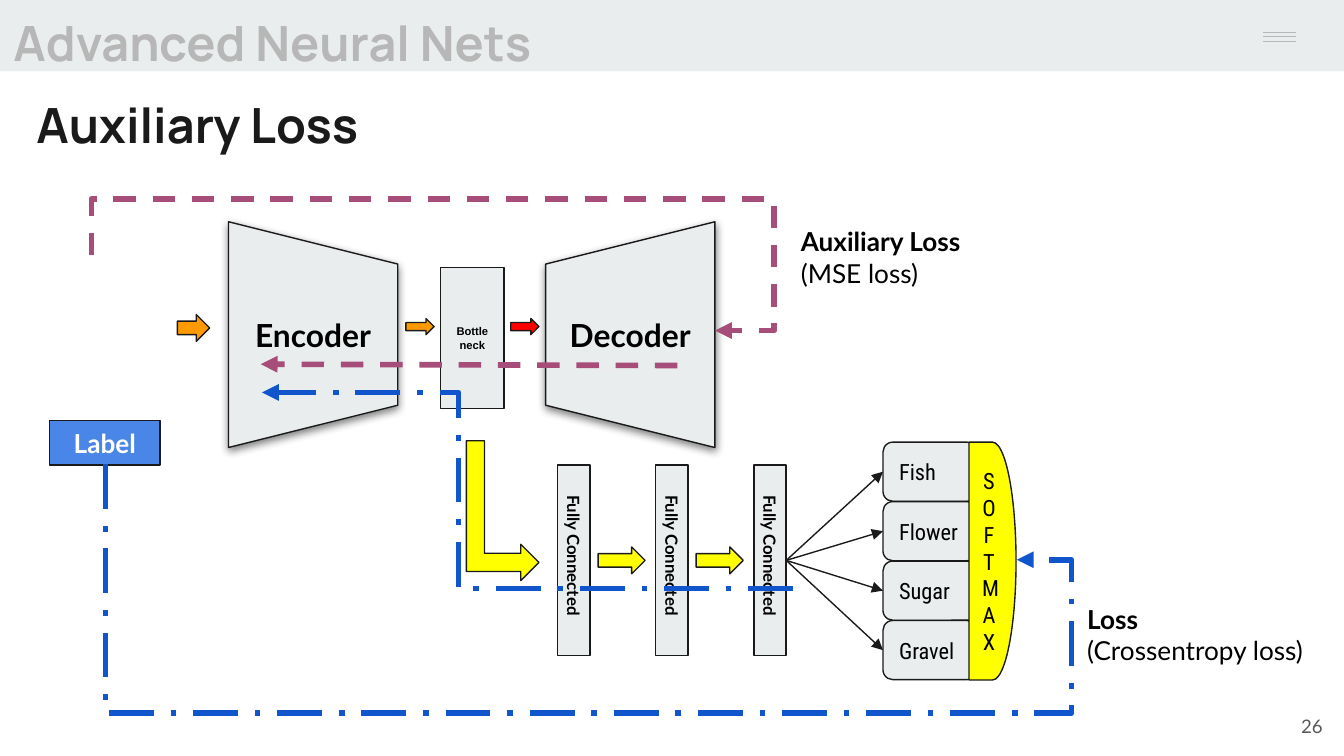
from lxml.etree import SubElement
from pptx import Presentation
from pptx.dml.color import RGBColor
from pptx.enum.dml import MSO_LINE
from pptx.enum.shapes import MSO_CONNECTOR, MSO_SHAPE
from pptx.enum.text import MSO_ANCHOR, MSO_AUTO_SIZE, PP_ALIGN
from pptx.oxml.ns import qn
from pptx.util import Inches, Pt

BLACK = RGBColor(0x00, 0x00, 0x00)
WHITE = RGBColor(0xFF, 0xFF, 0xFF)
INK = RGBColor(0x1A, 0x1A, 0x1A)
PALE = RGBColor(0xE9, 0xED, 0xEE)
GRAY = RGBColor(0xB7, 0xB7, 0xB7)
SLATE = RGBColor(0x59, 0x59, 0x59)
ORANGE = RGBColor(0xFF, 0x99, 0x00)
RED = RGBColor(0xFF, 0x00, 0x00)
YELLOW = RGBColor(0xFF, 0xFF, 0x00)
AZURE = RGBColor(0x4A, 0x86, 0xE8)
BLUE = RGBColor(0x11, 0x55, 0xCC)
PLUM = RGBColor(0xA6, 0x4D, 0x79)

HEAD = dict(name="Manrope", size=Pt(26), bold=True)
PART = dict(name="Lato", size=Pt(17), bold=True)
NOTE = dict(name="Lato", size=Pt(14), bold=True)
LAYER = dict(name="Lato", size=Pt(9), bold=True)
PAGE = dict(name="Lato", size=Pt(10), bold=False)
SMALL = dict(name="Arial", size=Pt(6), bold=True)
CLASS = dict(name="Roboto Condensed", size=Pt(12), bold=False)
SIDES = ("left", "top", "width", "height")


def apply(target, values):
    """Set each named value on the target."""
    for name, value in values.items():
        setattr(target, name, value)


def write(shape, lines, font, color=BLACK, align=PP_ALIGN.LEFT, anchor=MSO_ANCHOR.TOP):
    """Fill a shape with one paragraph per line."""
    frame = shape.text_frame
    frame.text = "\n".join(lines)
    inset = Inches(0.1)
    apply(frame, dict(word_wrap=True, auto_size=MSO_AUTO_SIZE.NONE, vertical_anchor=anchor,
                      margin_left=inset, margin_right=inset,
                      margin_top=inset, margin_bottom=inset))
    for para in frame.paragraphs:
        para.alignment = align
        for run in para.runs:
            apply(run.font, font)
            run.font.color.rgb = color


def add_head(holder, box, text, color):
    """Place a heading in a template placeholder."""
    apply(holder, dict(zip(SIDES, map(Inches, box))))
    write(holder, [text], HEAD, color)
    holder.element.getparent().append(holder.element)
    para = holder.text_frame.paragraphs[0]
    apply(para, dict(space_before=Pt(0), line_spacing=1.0))
    return para


def add_text(slide, box, lines, font, turn=0, **style):
    """Add a text box."""
    shape = slide.shapes.add_textbox(*map(Inches, box))
    shape.rotation = turn
    write(shape, lines, font, **style)
    return shape


def add_note(slide, box, name, kind):
    """Add a bold loss name above its plain kind."""
    shape = add_text(slide, box, [name, kind], NOTE)
    shape.text_frame.paragraphs[1].runs[0].font.bold = False


def add_block(slide, kind, box, fill, turn=0, edge=True):
    """Add a filled preset shape."""
    shape = slide.shapes.add_shape(kind, *map(Inches, box))
    shape.rotation = turn
    shape.shadow.inherit = False
    shape.fill.solid()
    shape.fill.fore_color.rgb = fill
    if edge:
        shape.line.color.rgb = INK
        shape.line.width = Pt(0.75)
    else:
        shape.line.fill.background()
    return shape


def add_coder(slide, left, turn, name):
    """Add a turned, shadowed trapezoid with its name."""
    shape = add_block(slide, MSO_SHAPE.TRAPEZOID, (left, 1.86, 1.68, 1.26), PALE, turn)
    effects = shape.element.spPr.find(qn("a:effectLst"))
    shade = SubElement(effects, qn("a:outerShdw"), blurRad=str(Pt(4.5)),
                       dist=str(Pt(1.5)), dir="5400000", algn="bl", rotWithShape="0")
    tint = SubElement(shade, qn("a:srgbClr"), val="000000")
    SubElement(tint, qn("a:alpha"), val="50000")
    add_text(slide, (left + 0.21, 2.25, 1.26, 0.42), [name], PART, align=PP_ALIGN.CENTER)


def add_line(slide, start, end, color, width=0.75, dash=None, arrow=True,
             kind=MSO_CONNECTOR.STRAIGHT):
    """Add a connector with an optional arrowhead."""
    line = slide.shapes.add_connector(kind, *map(Inches, start + end))
    line.line.color.rgb = color
    apply(line.line, dict(width=Pt(width), dash_style=dash))
    props = line.element.spPr
    if arrow:
        SubElement(props.find(qn("a:ln")), qn("a:tailEnd"), type="triangle")
    SubElement(props, qn("a:effectLst"))
    return line


def add_bend(slide, box, turn, bends, color, dash):
    """Add a turned elbow connector with its bends as shares of the box."""
    left, top, width, height = box
    line = add_line(slide, (left, top), (left + width, top + height), color, 3, dash,
                    kind=MSO_CONNECTOR.ELBOW)
    frame, shape = line.element.spPr[:2]
    frame.set("rot", str(turn * 60000))
    if turn == 270:
        frame.set("flipH", "1")
    shape.set("prst", f"bentConnector{len(bends) + 2}")
    for i, share in enumerate(bends, 1):
        SubElement(shape.find(qn("a:avLst")), qn("a:gd"), name=f"adj{i}",
                   fmla=f"val {round(share * 100000)}")


def add_header(slide):
    """Add the top band, menu lines, headings and page number."""
    add_block(slide, MSO_SHAPE.RECTANGLE, (0, 0, 10, 0.53), PALE, edge=False)
    for y in (0.24, 0.27, 0.31):
        add_line(slide, (9.4, y), (9.64, y), GRAY, arrow=False)
    add_text(slide, (9.34, 5.19, 0.6, 0.43), ["26"], PAGE, color=SLATE,
             align=PP_ALIGN.RIGHT, anchor=MSO_ANCHOR.MIDDLE)
    title, body = slide.placeholders
    add_head(title, (0, 0, 5.33, 0.54), "Advanced Neural Nets", GRAY)
    para = add_head(body, (0.17, 0.54, 4.64, 1.04), "Auxiliary Loss", INK)
    apply(para, dict(line_spacing=1.15, space_after=Pt(16)))
    props = para._p.get_or_add_pPr()
    props.set("marL", "0")
    props.set("indent", "0")
    SubElement(props, qn("a:buNone"))


def add_coders(slide):
    """Add the encoder, bottleneck and decoder row."""
    add_coder(slide, 1.49, 90, "Encoder")
    add_coder(slide, 3.85, 270, "Decoder")
    for box, fill in (((3.02, 2.37, 0.21, 0.12), ORANGE), ((3.8, 2.37, 0.21, 0.12), RED),
                      ((1.32, 2.34, 0.24, 0.2), ORANGE)):
        add_block(slide, MSO_SHAPE.RIGHT_ARROW, box, fill)
    neck = add_block(slide, MSO_SHAPE.RECTANGLE, (3.28, 1.99, 0.47, 1.05), PALE)
    write(neck, ["Bottle neck"], SMALL, align=PP_ALIGN.CENTER, anchor=MSO_ANCHOR.MIDDLE)
    add_note(slide, (5.86, 1.58, 1.61, 0.79), "Auxiliary Loss", "(MSE loss)")


def add_layers(slide):
    """Add the fully connected layers and the class boxes."""
    add_block(slide, MSO_SHAPE.BENT_UP_ARROW, (3.22, 3.53, 1.04, 0.54), YELLOW, 90)
    for i in range(3):
        left = 4.15 + 0.73 * i
        add_block(slide, MSO_SHAPE.RECTANGLE, (left, 3.46, 0.24, 1.42), PALE)
        add_text(slide, (left - 0.48, 4.07, 1.26, 0.29), ["Fully Connected"], LAYER, 90)
        if i < 2:
            add_block(slide, MSO_SHAPE.RIGHT_ARROW, (left + 0.3, 4.07, 0.35, 0.2), YELLOW)
    for i, name in enumerate(("Fish", "Flower", "Sugar", "Gravel")):
        top = 3.29 + 1.77 / 4 * i
        box = add_block(slide, MSO_SHAPE.ROUNDED_RECTANGLE, (6.57, top, 0.7, 0.44), PALE)
        write(box, [name], CLASS, anchor=MSO_ANCHOR.MIDDLE)
        add_line(slide, (5.85, 4.17), (6.57, top + 0.22), INK)


def add_losses(slide):
    """Add the label, softmax and loss paths."""
    label = add_block(slide, MSO_SHAPE.RECTANGLE, (0.37, 3.13, 0.82, 0.33), AZURE)
    write(label, ["Label"], NOTE, WHITE, PP_ALIGN.CENTER, MSO_ANCHOR.MIDDLE)
    add_bend(slide, (3.82, 0.42, 0.71, 6.78), 270, (2.61, 1.06), BLUE, MSO_LINE.LONG_DASH_DOT)
    soft = add_block(slide, MSO_SHAPE.FLOWCHART_DELAY, (7.21, 3.29, 0.35, 1.77), YELLOW)
    write(soft, "SOFTMAX", CLASS, align=PP_ALIGN.CENTER, anchor=MSO_ANCHOR.MIDDLE)
    add_note(slide, (7.99, 4.39, 1.88, 0.79), "Loss", "(Crossentropy loss)")
    add_bend(slide, (2.72, -0.14, 0.56, 4.64), 270, (-0.75, 1.095), PLUM, MSO_LINE.DASH)
    add_line(slide, (5.04, 2.72), (1.94, 2.71), PLUM, 3, MSO_LINE.DASH)
    add_bend(slide, (1.95, 2.92, 3.95, 1.46), 180, (0.63,), BLUE, MSO_LINE.LONG_DASH_DOT)


def main():
    """Build and save the slide."""
    deck = Presentation()
    wide = Inches(10)
    apply(deck, dict(slide_width=wide, slide_height=wide * 9 // 16))
    slide = deck.slides.add_slide(deck.slide_layouts[1])
    for add in (add_header, add_coders, add_layers, add_losses):
        add(slide)
    deck.save("out.pptx")


if __name__ == "__main__":
    main()
